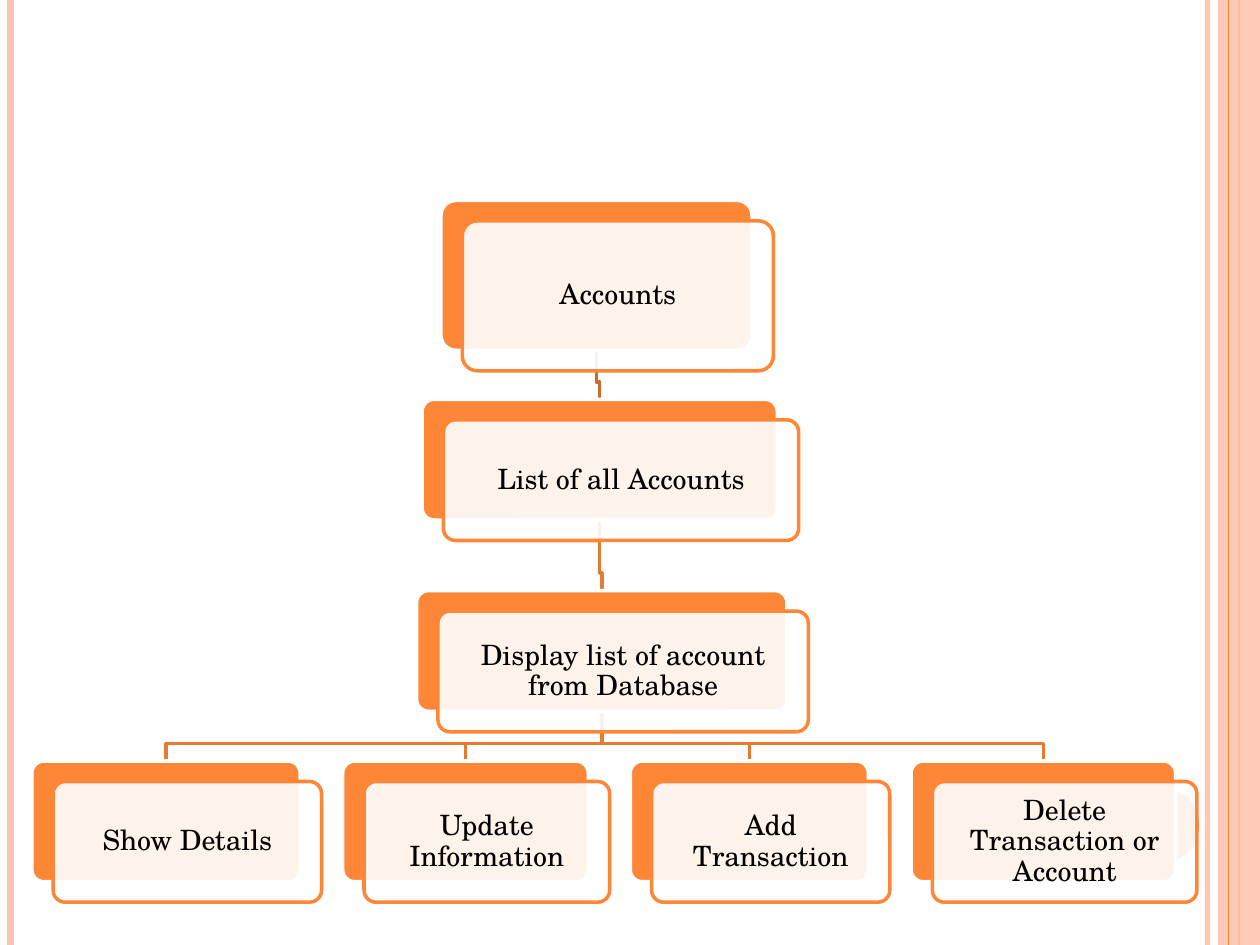
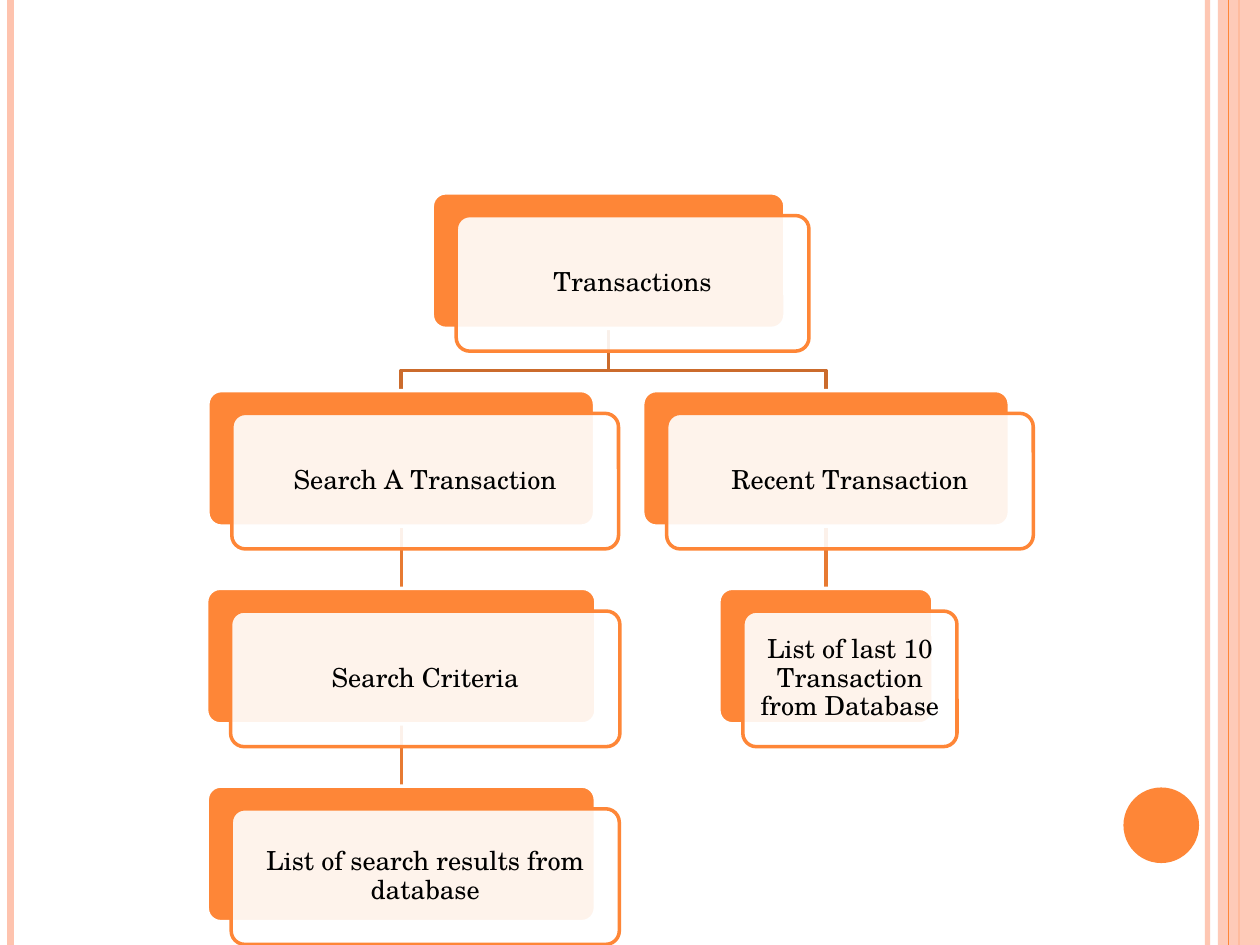
from pptx import Presentation
from pptx.dml.color import RGBColor
from pptx.enum.shapes import MSO_CONNECTOR, MSO_SHAPE
from pptx.enum.text import MSO_ANCHOR, PP_ALIGN
from pptx.oxml.ns import qn
from pptx.util import Pt
from lxml import etree

ORANGE = RGBColor(0xFE, 0x86, 0x37)
PEACH = RGBColor(0xFE, 0xC3, 0xAE)
TOP_LINK = RGBColor(0xCB, 0x6B, 0x2C)
LINK = RGBColor(0xE7, 0x7A, 0x32)
WHITE = RGBColor(0xFF, 0xFF, 0xFF)
BLACK = RGBColor(0x00, 0x00, 0x00)
FONT = "TeX Gyre Schola"
STRAIGHT = MSO_CONNECTOR.STRAIGHT
RECT = MSO_SHAPE.RECTANGLE
OVAL = MSO_SHAPE.OVAL
ROUNDED = MSO_SHAPE.ROUNDED_RECTANGLE
MIDDLE = MSO_ANCHOR.MIDDLE
CENTER = PP_ALIGN.CENTER
WIDTH, HEIGHT = 720, 540


def add_line(s, x, top, bottom, color, weight, alpha=100):
    line = s.shapes.add_connector(STRAIGHT, Pt(x), Pt(top), Pt(x), Pt(bottom))
    line.line.color.rgb = color
    line.line.width = Pt(weight)
    spPr = line._element.spPr
    etree.SubElement(spPr, qn("a:effectLst"))
    if alpha < 100:
        clr = next(spPr.iter(qn("a:srgbClr")))
        etree.SubElement(clr, qn("a:alpha")).set("val", str(alpha * 1000))


def add_box(s, kind, left, top, width, height, fill, alpha=100, line=None):
    sp = s.shapes.add_shape(kind, Pt(left), Pt(top), Pt(width), Pt(height))
    sp.shadow.inherit = False
    sp.fill.solid()
    sp.fill.fore_color.rgb = fill
    if alpha < 100:
        clr = next(sp._element.spPr.iter(qn("a:srgbClr")))
        etree.SubElement(clr, qn("a:alpha")).set("val", str(alpha * 1000))
    if line is None:
        sp.line.fill.background()
    else:
        sp.line.color.rgb = line
        sp.line.width = Pt(2)
    if kind == ROUNDED:
        sp.adjustments[0] = 0.1
    return sp


# Node: text, centre x, width, row, index of parent
charts = [
    {
        "rows": [(114.5, 85.7), (228.2, 69), (337.5, 69), (434.9, 69)],
        "shift": (12.2, 11.7), "bend": 10, "size": 16, "inset": 5,
        "nodes": [
            ("Accounts", 340.9, 177.8, 0, None),
            ("List of all Accounts", 342.7, 203, 1, 0),
            ("Display list of account from Database", 343.9, 211.7, 2, 1),
            ("Show Details", 94.9, 153.4, 3, 2),
            ("Update Information", 266, 140.4, 3, 2),
            ("Add Transaction", 428.2, 136.1, 3, 2),
            ("Delete Transaction or Account", 596.2, 151.2, 3, 2),
        ],
    },
    {
        "rows": [(110.2 + 113 * i, 77.5) for i in range(4)],
        "shift": (13.7, 13), "bend": 11.5, "size": 15, "inset": 4.3,
        "nodes": [
            ("Transactions", 347.8, 201.6, 0, None),
            ("Search A Transaction", 229.3, 221, 1, 0),
            ("Search Criteria", 229.3, 222.5, 2, 1),
            ("List of search results from database", 229.3, 221.8, 3, 2),
            ("Recent Transaction", 472, 209.5, 1, 0),
            ("List of last 10 Transaction from Database", 472, 122.4, 2, 4),
        ],
    },
]

prs = Presentation()
prs.slide_width, prs.slide_height = Pt(WIDTH), Pt(HEIGHT)

for chart in charts:
    s = prs.slides.add_slide(prs.slide_layouts[6])
    add_line(s, 690, 0, HEIGHT, PEACH, 3, 93)
    add_line(s, 6, 0, HEIGHT, PEACH, 4.5)
    add_line(s, 708, 0, HEIGHT, ORANGE, 1.5)
    add_box(s, RECT, 696, 0, 24, HEIGHT, PEACH, 87)
    add_line(s, 702, 0, HEIGHT, ORANGE, 0.75)
    add_box(s, OVAL, 642, 450, 43.2, 43.2, ORANGE)

    rows, nodes = chart["rows"], chart["nodes"]
    for text, x, width, row, parent in nodes:
        if parent is None:
            continue
        parent_x, parent_row = nodes[parent][1], nodes[parent][3]
        start = sum(rows[parent_row])
        end = rows[row][0]
        color = TOP_LINK if parent_row == 0 else LINK
        if x == parent_x:
            add_line(s, x, start, end, color, 2)
            continue
        bend = end - chart["bend"]
        fb = s.shapes.build_freeform(Pt(parent_x), Pt(start))
        fb.add_line_segments(
            [(Pt(parent_x), Pt(bend)), (Pt(x), Pt(bend)), (Pt(x), Pt(end))],
            close=False)
        sp = fb.convert_to_shape()
        sp.shadow.inherit = False
        sp.fill.background()
        sp.line.color.rgb = color
        sp.line.width = Pt(2)

    dx, dy = chart["shift"]
    for text, x, width, row, parent in nodes:
        top, height = rows[row]
        left = x - width / 2
        add_box(s, ROUNDED, left, top, width, height, ORANGE, line=WHITE)
        sp = add_box(s, ROUNDED, left + dx, top + dy, width, height, WHITE, 90, ORANGE)
        tf = sp.text_frame
        tf.text = text
        tf.word_wrap = True
        tf.vertical_anchor = MIDDLE
        tf.margin_left = tf.margin_right = Pt(chart["inset"])
        tf.margin_top = tf.margin_bottom = Pt(chart["inset"])
        p = tf.paragraphs[0]
        p.alignment = CENTER
        p.line_spacing = 0.9
        p.space_after = Pt(0.35 * chart["size"])
        r = p.runs[0]
        r.font.name = FONT
        r.font.size = Pt(chart["size"])
        r.font.color.rgb = BLACK

prs.save("out.pptx")
